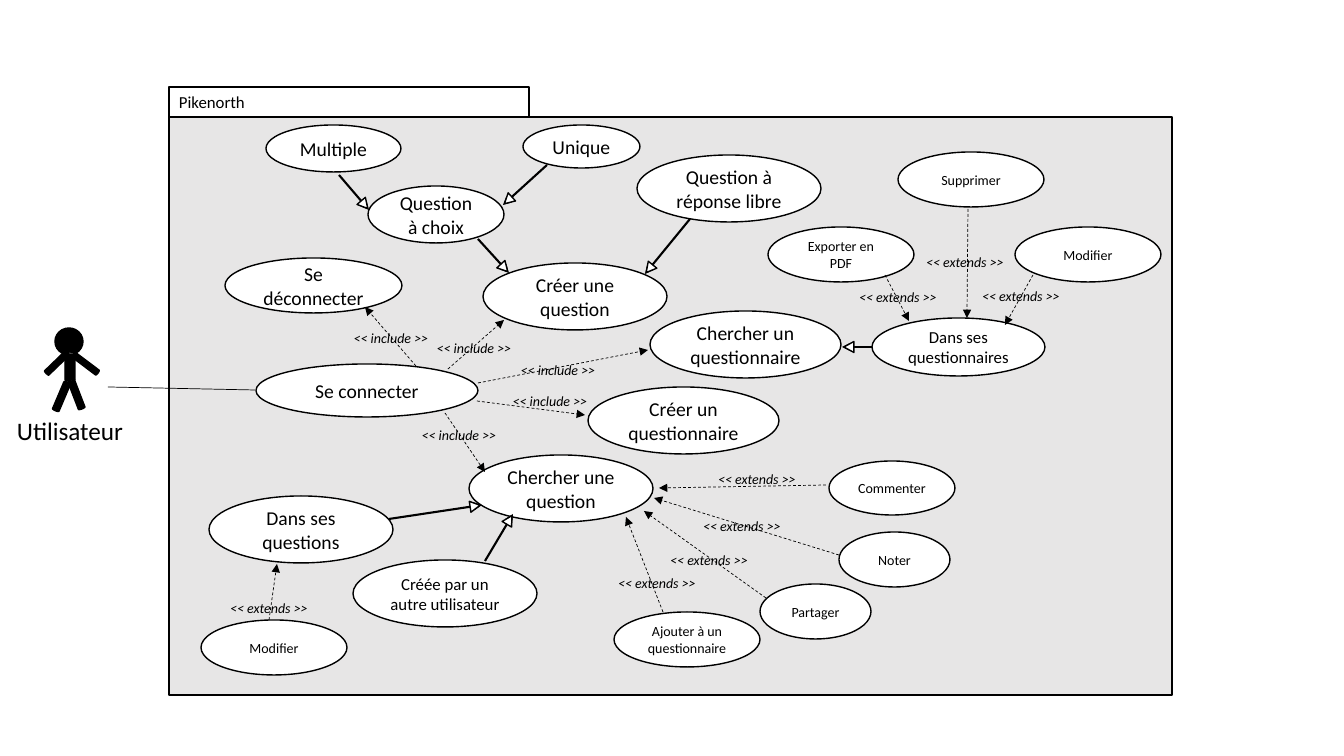
from math import atan2, cos, degrees, sin

from pptx import Presentation
from pptx.dml.color import RGBColor
from pptx.enum.dml import MSO_LINE as Dash
from pptx.enum.shapes import MSO_CONNECTOR as Link, MSO_SHAPE as Form
from pptx.enum.text import MSO_ANCHOR as Anchor, PP_ALIGN as Align
from pptx.oxml.ns import qn
from pptx.util import Pt
from lxml.etree import SubElement as Sub

BLACK = RGBColor(0x00, 0x00, 0x00)
WHITE = RGBColor(0xFF, 0xFF, 0xFF)
GREY = RGBColor(0xE7, 0xE6, 0xE6)
SCALE = 914400 / 100.8
FONT = "Calibri"


def emu(*nums):
    """Turn pixels into EMU."""
    return [round(n * SCALE) for n in nums]


def shift(box, ends):
    """Move the points x1, y1, x2, y2 into the box."""
    return [n + box[i % 2] for i, n in enumerate(ends)]


def write(shape, text, size=14, align=Align.CENTER, italic=False):
    """Put formatted text into a shape."""
    frame = shape.text_frame
    frame.word_wrap = True
    frame.vertical_anchor = Anchor.MIDDLE
    para = frame.paragraphs[0]
    para.alignment = align
    run = para.add_run()
    run.text = text
    font = run.font
    font.name, font.size, font.italic = FONT, Pt(size), italic
    font.color.rgb = BLACK


def draw(slide, box, form, at, fill=WHITE, turn=0):
    """Add an outlined shape at a place in the box."""
    x, y, w, h = at
    shape = slide.shapes.add_shape(form, *emu(box[0] + x, box[1] + y, w, h))
    shape.shadow.inherit = False
    shape.fill.solid()
    shape.fill.fore_color.rgb = fill
    shape.line.color.rgb = BLACK
    shape.line.width = Pt(1)
    shape.rotation = turn
    return shape


def join(slide, box, ends, width=0.5, dash=False, head=True):
    """Add a line, with an arrowhead unless told otherwise."""
    line = slide.shapes.add_connector(Link.STRAIGHT, *emu(*shift(box, ends)))
    line.line.color.rgb = BLACK
    line.line.width = Pt(width)
    if dash:
        line.line.dash_style = Dash.DASH
    if head:
        Sub(line.line._get_or_add_ln(), qn("a:tailEnd"), type="triangle")
    Sub(line._element.spPr, qn("a:effectLst"))


def label(slide, box, at, text, **style):
    """Add a text box at a place in the box."""
    x, y, w, h = at
    write(slide.shapes.add_textbox(*emu(box[0] + x, box[1] + y, w, h)), text, **style)


def cases(slide, box, rows):
    """Add use case ovals from rows of place, text and size."""
    for at, text, size in rows:
        write(draw(slide, box, Form.OVAL, at), text, size)


def kinds(slide, box, rows):
    """Add generalisation arrows with a hollow triangle at the tip."""
    for ends in rows:
        join(slide, box, ends, 1.5)
        x1, y1, x2, y2 = ends
        angle = atan2(y2 - y1, x2 - x1)
        x, y = x2 - 7 * cos(angle), y2 - 7 * sin(angle)
        turn = degrees(angle) + 90
        draw(slide, box, Form.ISOSCELES_TRIANGLE, (x - 5.5, y - 5, 11, 10), turn=turn)


def depends(slide, box, word, rows):
    """Add dashed arrows, each with its word centred on a point."""
    for ends, (x, y) in rows:
        join(slide, box, ends, dash=True)
        label(slide, box, (x - 56, y - 14, 112, 28), f"<< {word} >>", size=10, italic=True)


def system(slide, box):
    """Draw the system frame and its name tab."""
    draw(slide, box, Form.RECTANGLE, (0, 0, box[2], box[3]), GREY)
    tab = draw(slide, box, Form.RECTANGLE, (0, -30, 360, 30))
    write(tab, "Pikenorth", 12, Align.LEFT)


def actor(slide, box):
    """Draw the user figure, its name and its link."""
    draw(slide, box, Form.OVAL, (50, 3, 28, 27), BLACK)
    limbs = [
        ((60, 27, 10, 29), 0),
        ((49, 23, 6, 30), 226), ((78, 24, 6, 30), 127),
        ((53, 56, 7, 31), 23), ((68, 54, 7, 31), 339),
    ]
    for at, turn in limbs:
        draw(slide, box, Form.CAN, at, BLACK, turn)
    label(slide, box, (0, 85, box[2], 40), "Utilisateur", size=18)
    join(slide, box, (250, 65, 103, 62), head=False)


def account(slide, box):
    """Draw login, logout and the included cases' arrows."""
    cases(slide, box, [
        ((31, 106, 222, 53), "Se connecter", 14),
        ((0, 0, 177, 55), "Se déconnecter", 14),
    ])
    depends(slide, box, "include", [
        ((191, 108, 140, 49), (166, 80)),
        ((223, 111, 279, 62), (249, 90)),
        ((253, 125, 423, 92), (333, 112)),
        ((252, 143, 360, 157), (325, 143)),
        ((220, 155, 260, 214), (234, 177)),
    ])


def create(slide, box):
    """Draw the cases for creating a question."""
    cases(slide, box, [
        ((0, 0, 135, 47), "Multiple", 14),
        ((257, 0, 117, 43), "Unique", 14),
        ((102, 61, 136, 57), "Question à choix", 14),
        ((371, 30, 184, 67), "Question à réponse libre", 14),
        ((217, 138, 184, 67), "Créer une question", 14),
    ])
    kinds(slide, box, [
        (73, 50, 103, 85), (281, 40, 237, 80),
        (212, 114, 243, 148), (424, 94, 379, 149),
    ])


def search(slide, box):
    """Draw the cases for searching a question."""
    cases(slide, box, [
        ((268, 0, 184, 67), "Chercher une question", 14),
        ((8, 41, 184, 67), "Dans ses questions", 14),
        ((152, 105, 184, 67), "Créée par un autre\u00a0utilisateur", 12),
        ((0, 165, 146, 55), "Modifier", 10),
        ((413, 157, 146, 55), "Ajouter à un questionnaire", 10),
        ((559, 129, 111, 55), "Partager", 10),
        ((638, 77, 111, 55), "Noter", 10),
        ((628, 6, 126, 54), "Commenter", 10),
    ])
    kinds(slide, box, [(188, 64, 281, 50), (284, 106, 312, 59)])
    depends(slide, box, "extends", [
        ((68, 165, 76, 109), (68, 153)),
        ((462, 157, 425, 62), (456, 128)),
        ((565, 143, 443, 56), (508, 105)),
        ((638, 100, 453, 43), (541, 71)),
        ((625, 30, 458, 33), (556, 24)),
    ])


def survey(slide, box):
    """Draw the cases for questionnaires."""
    cases(slide, box, [
        ((0, 235, 191, 67), "Créer un questionnaire", 14),
        ((62, 159, 191, 67), "Chercher un questionnaire", 14),
        ((284, 166, 173, 58), "Dans ses questionnaires", 12),
        ((180, 75, 146, 55), "Exporter en PDF", 10),
        ((310, 0, 146, 55), "Supprimer", 10),
        ((427, 75, 146, 55), "Modifier", 10),
    ])
    kinds(slide, box, [(284, 195, 254, 195)])
    depends(slide, box, "extends", [
        ((297, 123, 321, 169), (310, 145)),
        ((380, 57, 379, 166), (377, 110)),
        ((445, 123, 417, 173), (433, 144)),
    ])


def main():
    """Build the use case slide and save it."""
    deck = Presentation()
    deck.slide_width, deck.slide_height = emu(1344, 756)
    slide = deck.slides.add_slide(deck.slide_layouts[6])
    system(slide, (169, 117, 1003, 578))
    actor(slide, (5, 325, 130, 125))
    create(slide, (266, 125, 555, 205))
    search(slide, (201, 455, 754, 220))
    survey(slide, (588, 152, 573, 302))
    account(slide, (225, 258, 423, 214))
    deck.save("out.pptx")


main()
